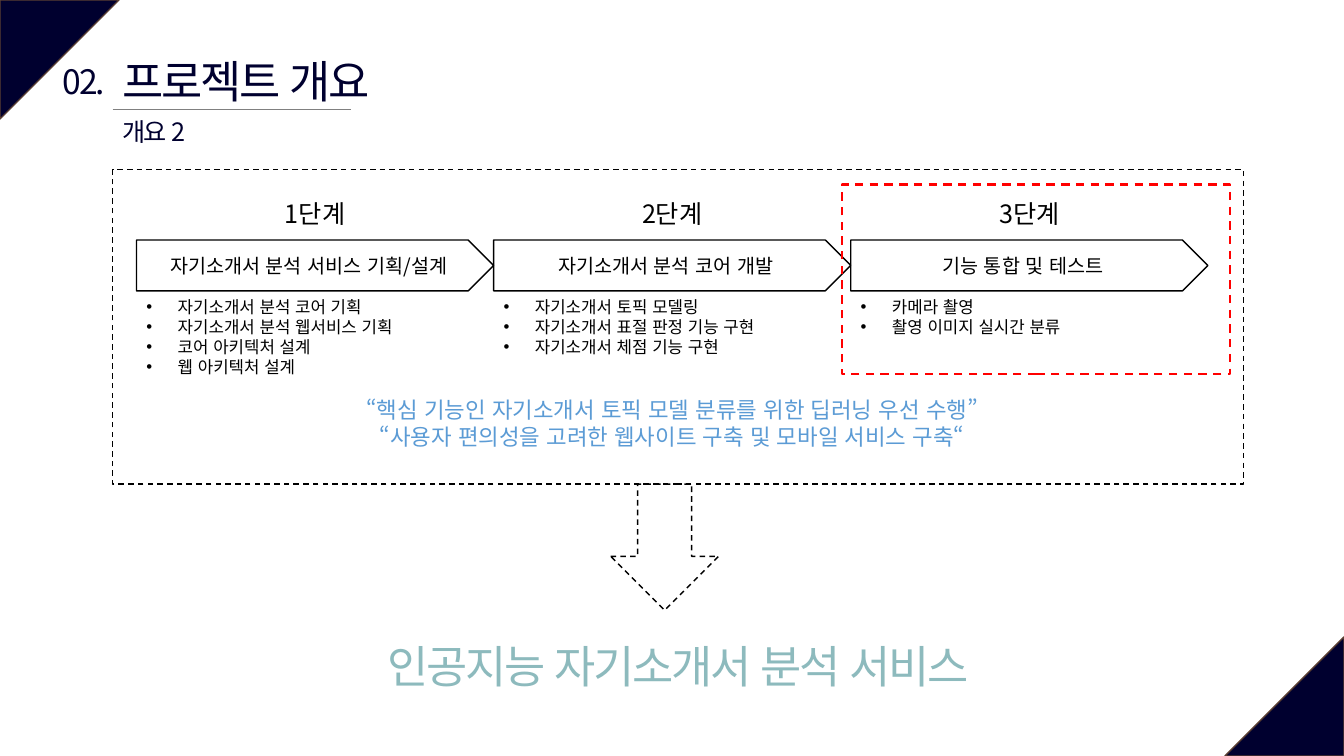
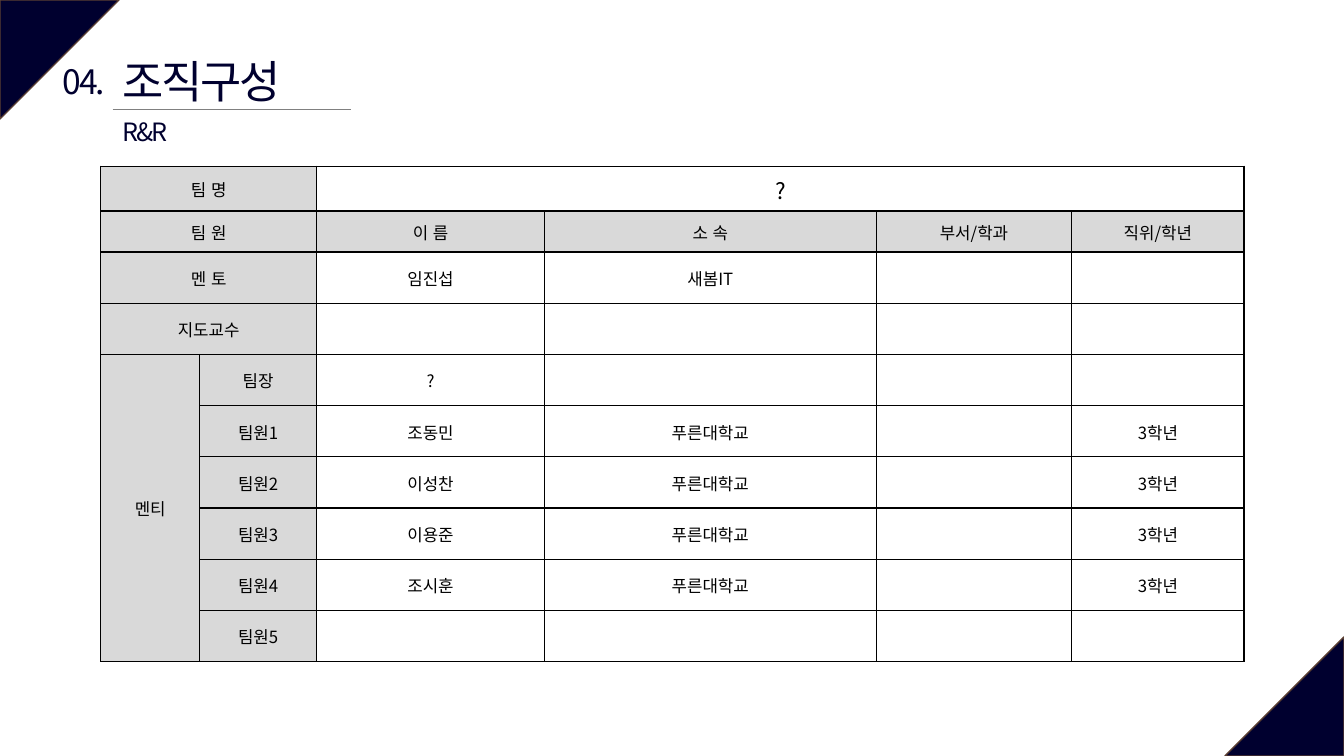
import pptx
import pptx.util
import pptx.dml.color
import pptx.enum.dml
import pptx.enum.lang
import pptx.enum.shapes
import pptx.enum.text
import pptx.oxml.ns
import pptx.oxml.xmlchemy
from pptx.util import Cm

FONT = "Noto Sans CJK KR"
INK = {
    "navy": "00002F",
    "edge": "5B3F33",
    "rule": "808080",
    "black": "000000",
    "teal": "8DBABD",
    "blue": "5B9BD5",
    "red": "FF0000",
    "gray": "D9D9D9",
}
WIDE, HIGH = 33.87, 19.05
CORNER = 3
LEFT = 2.84

STAGES = [
    ("1단계", "자기소개서 분석 서비스 기획/설계",
     ["자기소개서 분석 코어 기획", "자기소개서 분석 웹서비스 기획",
      "코어 아키텍처 설계", "웹 아키텍처 설계"]),
    ("2단계", "자기소개서 분석 코어 개발",
     ["자기소개서 토픽 모델링", "자기소개서 표절 판정 기능 구현",
      "자기소개서 체점 기능 구현"]),
    ("3단계", "기능 통합 및 테스트",
     ["카메라 촬영", "촬영 이미지 실시간 분류"]),
]
QUOTES = [
    "“핵심 기능인 자기소개서 토픽 모델 분류를 위한 딥러닝 우선 수행”",
    "“사용자 편의성을 고려한 웹사이트 구축 및 모바일 서비스 구축“",
]
GOAL = "인공지능 자기소개서 분석 서비스"

SCHOOL, YEAR = "푸른대학교", "3학년"
TEAM = [
    ["팀 명", "", "?", "", "", ""],
    ["팀 원", "", "이 름", "소 속", "부서/학과", "직위/학년"],
    ["멘 토", "", "임진섭", "새봄IT", "", ""],
    ["지도교수", "", "", "", "", ""],
    ["멘티", "팀장", "?", "", "", ""],
    ["", "팀원1", "조동민", SCHOOL, "", YEAR],
    ["", "팀원2", "이성찬", SCHOOL, "", YEAR],
    ["", "팀원3", "이용준", SCHOOL, "", YEAR],
    ["", "팀원4", "조시훈", SCHOOL, "", YEAR],
    ["", "팀원5", "", "", "", ""],
]
COLS = [2.49, 2.95, 5.74, 8.36, 4.93, 4.34]
ROWS = [1.13, 1.03] + [1.29] * 8
MERGES = [(row, 0, row, 1) for row in range(4)] + [(0, 2, 0, 5), (4, 0, 9, 0)]

KIND = pptx.enum.shapes.MSO_SHAPE
ALIGN = pptx.enum.text.PP_ALIGN
MIDDLE = pptx.enum.text.MSO_ANCHOR.MIDDLE


def tint(name):
    return pptx.dml.color.RGBColor.from_string(INK[name])


def node(tag, **attrs):
    part = pptx.oxml.xmlchemy.OxmlElement(tag)
    for key, val in attrs.items():
        part.set(key, str(val))
    return part


def write(frame, lines, size, color="black", center=True, tight=False):
    frame.text = "\n".join(lines)
    for para in frame.paragraphs:
        para.alignment = ALIGN.CENTER if center else ALIGN.LEFT
        for run in para.runs:
            font = run.font
            font.name = FONT
            font.size = pptx.util.Pt(size)
            font.color.rgb = tint(color)
            font.language_id = pptx.enum.lang.MSO_LANGUAGE_ID.KOREAN
            props = run._r.get_or_add_rPr()
            props.find(pptx.oxml.ns.qn("a:latin")).addnext(
                node("a:ea", typeface=FONT))
            if tight:
                props.set("spc", "-150")


def label(slide, box, lines, size, color="black", center=True, tight=False,
          wrap=True):
    frame = slide.shapes.add_textbox(*map(Cm, box)).text_frame
    frame.word_wrap = wrap
    frame.auto_size = pptx.enum.text.MSO_AUTO_SIZE.SHAPE_TO_FIT_TEXT
    write(frame, lines, size, color, center, tight)
    return frame


def outline(slide, kind, box, color="black", weight=1, dash=True):
    shape = slide.shapes.add_shape(kind, *map(Cm, box))
    shape.shadow.inherit = False
    shape.fill.background()
    shape.line.color.rgb = tint(color)
    shape.line.width = pptx.util.Pt(weight)
    if dash:
        shape.line.dash_style = pptx.enum.dml.MSO_LINE.DASH
    return shape


def corners(deck, slide):
    tree = deck.slide_master.element.cSld.spTree
    spots = [(0, 0, 90), (WIDE - CORNER, HIGH - CORNER, 270)]
    for num, (left, top, turn) in enumerate(spots, 101):
        shape = outline(slide, KIND.ISOSCELES_TRIANGLE,
                        (left, top, CORNER, CORNER), "edge", dash=False)
        shape.adjustments[0] = 0
        shape.rotation = turn
        shape.fill.solid()
        shape.fill.fore_color.rgb = tint("navy")
        shape.element.nvSpPr.cNvPr.set("id", str(num))
        tree.append(shape.element)


def header(slide, num, title, sub):
    rule = slide.shapes.add_connector(
        pptx.enum.shapes.MSO_CONNECTOR.STRAIGHT,
        Cm(LEFT), Cm(2.75), Cm(LEFT + 6), Cm(2.75))
    rule.line.color.rgb = tint("rule")
    rule.line.width = pptx.util.Pt(0.5)
    rule.element.spPr.append(node("a:effectLst"))
    label(slide, (LEFT, 1.22, 14.07, 1.62), [title], 32, "navy", False, True)
    label(slide, (1.27, 1.4, 1.7, 1.27), [num], 24, "navy", True, True, False)
    label(slide, (LEFT, 2.8, 14.07, 1.07), [sub], 18, "navy", False, True)


def bullets(frame):
    for para in frame.paragraphs:
        props = para._p.get_or_add_pPr()
        props.set("marL", str(Cm(0.79)))
        props.set("indent", str(-Cm(0.79)))
        props.append(node("a:buFont", typeface="Arial"))
        props.append(node("a:buChar", char="•"))


def plan(slide):
    left, step = 3.44, 9
    for pos, (stage, name, tasks) in enumerate(STAGES):
        x = left + pos * step
        plate = outline(slide, KIND.PENTAGON, (x, 6.05, step, 1.28), dash=False)
        plate.text_frame.vertical_anchor = MIDDLE
        write(plate.text_frame, [name], 14)
        size = 0.26 + 0.51 * len(tasks)
        bullets(label(slide, (x, 7.35, step, size), tasks, 12, center=False))
        label(slide, (x, 4.88, step, 1.02), [stage], 18)
    goal = label(slide, (LEFT, 15.3, 28.5, 2.1), [GOAL], 32, "teal", tight=True)
    goal.paragraphs[0].line_spacing = 1.5
    outline(slide, KIND.DOWN_ARROW, (15.39, 12.2, 2.72, 3.18))
    outline(slide, KIND.RECTANGLE, (LEFT, 4.27, 28.5, 7.93))
    label(slide, (left, 9.86, 3 * step, 1.63), QUOTES, 16, "blue")
    outline(slide, KIND.RECTANGLE, (21.21, 4.65, 9.8, 4.78), "red", 1.5)


def border(cell):
    props = cell._tc.get_or_add_tcPr()
    for pos, side in enumerate("LRTB"):
        line = node("a:ln" + side, w=pptx.util.Pt(1))
        fill = node("a:solidFill")
        fill.append(node("a:srgbClr", val=INK["black"]))
        line.append(fill)
        props.insert(pos, line)


def roster(slide):
    table = slide.shapes.add_table(
        len(ROWS), len(COLS), Cm(2.54), Cm(4.19),
        Cm(sum(COLS)), Cm(sum(ROWS))).table
    table.first_row = table.horz_banding = False
    for col, size in zip(table.columns, COLS):
        col.width = Cm(size)
    for row, size in zip(table.rows, ROWS):
        row.height = Cm(size)
    for r, line in enumerate(TEAM):
        for c, text in enumerate(line):
            cell = table.cell(r, c)
            cell.vertical_anchor = MIDDLE
            cell.margin_left = cell.margin_right = cell.margin_top = Cm(0.03)
            cell.margin_bottom = 0
            if c < 2 or r == 1:
                cell.fill.solid()
                cell.fill.fore_color.rgb = tint("gray")
            else:
                cell.fill.background()
            border(cell)
            if text:
                write(cell.text_frame, [text], 16 if (r, c) == (0, 2) else 12)
    for top, left, low, right in MERGES:
        table.cell(top, left).merge(table.cell(low, right))


def main():
    deck = pptx.Presentation()
    deck.slide_width, deck.slide_height = Cm(WIDE), Cm(HIGH)
    pages = [
        ("02.", "프로젝트 개요", "개요 2", plan),
        ("04.", "조직구성", "R&R", roster),
    ]
    for num, title, sub, draw in pages:
        slide = deck.slides.add_slide(deck.slide_layouts[6])
        if num == pages[0][0]:
            corners(deck, slide)
        header(slide, num, title, sub)
        draw(slide)
    deck.save("out.pptx")


if __name__ == "__main__":
    main()
